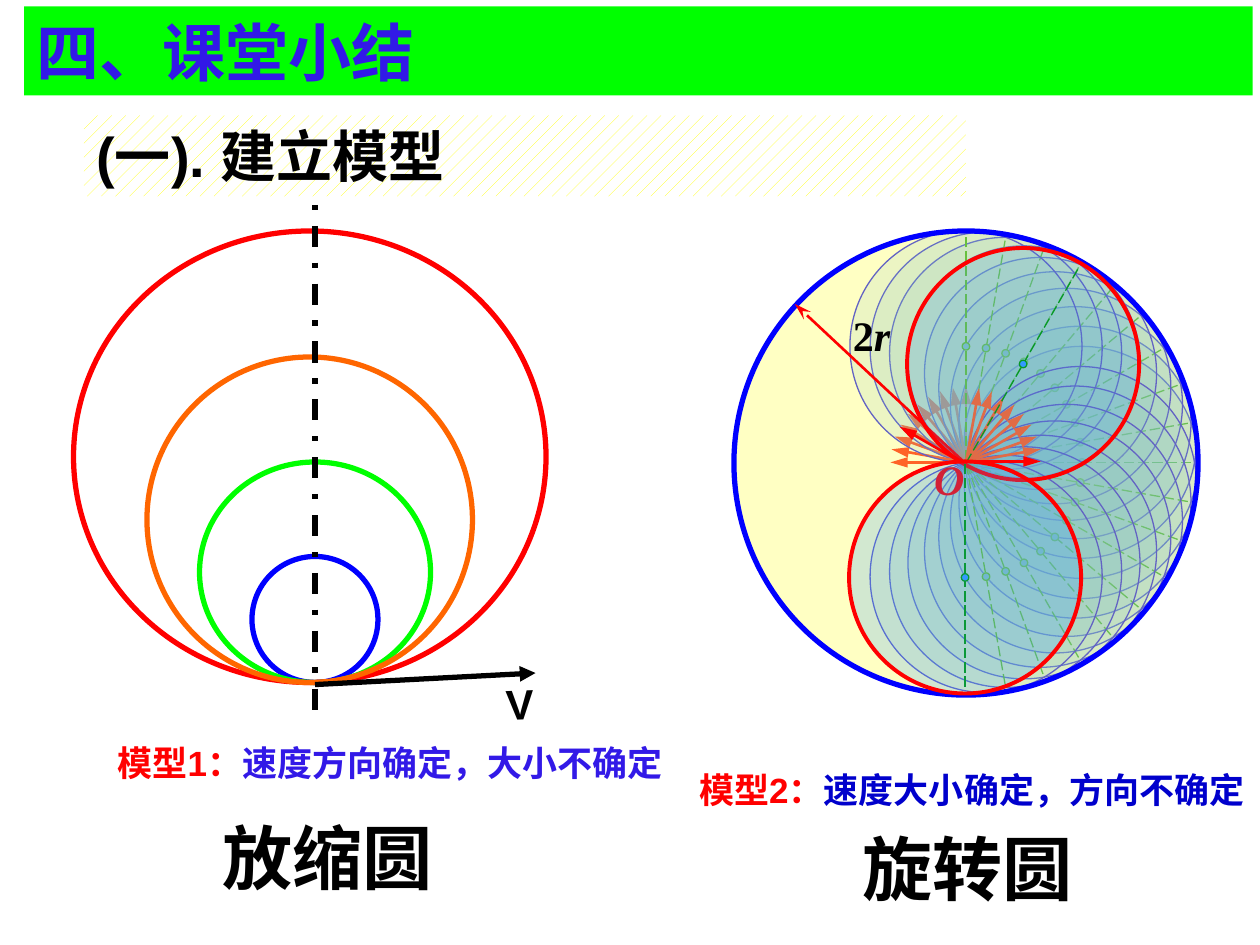
from itertools import chain
from math import cos, radians, sin

from lxml import etree
from pptx import Presentation
from pptx import util as u
from pptx.dml.color import RGBColor
from pptx.enum import dml, shapes, text
from pptx.oxml.ns import qn

BLACK = RGBColor(0x00, 0x00, 0x00)
WHITE = RGBColor(0xFF, 0xFF, 0xFF)
RED = RGBColor(0xFF, 0x00, 0x00)
BLUE = RGBColor(0x00, 0x00, 0xFF)
NAVY = RGBColor(0x00, 0x00, 0xCC)
INDIGO = RGBColor(0x32, 0x19, 0xE7)
LIME = RGBColor(0x00, 0xFF, 0x00)
GREEN = RGBColor(0x00, 0x99, 0x00)
ORANGE = RGBColor(0xFF, 0x66, 0x00)
SKY = RGBColor(0x33, 0x99, 0xFF)
CREAM = RGBColor(0xFF, 0xFF, 0x66)
YELLOW = RGBColor(0xFF, 0xFF, 0x00)

WIDE, HIGH = u.Inches(10), u.Inches(7.5)
COLS, ROWS = 120, 90  # square grid cells, twelve to the inch
HUB = (92, 44.04)  # point O, which every turned circle passes through
RADIUS = 11.05


def grid(*nums):
    """Turn column, row, column, row ... into slide lengths."""
    return [int(n * (HIGH / ROWS if i % 2 else WIDE / COLS))
            for i, n in enumerate(nums)]


def polar(hub, dist, angle):
    """Point at a distance and clockwise angle from the hub."""
    turn = radians(angle)
    return hub[0] + dist * cos(turn), hub[1] + dist * sin(turn)


def write(frame, *runs, size, font="Arial", wrap=True, bold=True,
          anchor=text.MSO_ANCHOR.TOP):
    """Fill a text frame with runs of (words, colour[, italic])."""
    frame.auto_size = text.MSO_AUTO_SIZE.NONE
    frame.word_wrap = wrap
    frame.vertical_anchor = anchor
    para = frame.paragraphs[0]
    para.alignment = text.PP_ALIGN.LEFT
    for words, color, *slant in runs:
        run = para.add_run()
        run.text = words
        run.font.name = font
        run.font.size = u.Pt(size)
        run.font.bold = bold
        run.font.italic = bool(slant and slant[0])
        run.font.color.rgb = color


def label(slide, box, *runs, turn=0, **style):
    shape = slide.shapes.add_textbox(*grid(*box))
    shape.rotation = turn
    write(shape.text_frame, *runs, **style)


def oval(slide, box, color, width, fill=None, alpha=None):
    shape = slide.shapes.add_shape(shapes.MSO_SHAPE.OVAL, *grid(*box))
    shape.shadow.inherit = False
    shape.line.color.rgb = color
    shape.line.width = u.Pt(width)
    if fill is None:
        shape.fill.background()
        return
    shape.fill.solid()
    shape.fill.fore_color.rgb = fill
    if alpha:
        tone = shape.fill._xPr.find(".//" + qn("a:srgbClr"))
        etree.SubElement(tone, qn("a:alpha"), val=str(alpha * 1000))


def disc(slide, mid, radius, *style, **fill):
    """Draw a circle from its centre and radius."""
    box = (mid[0] - radius, mid[1] - radius, 2 * radius, 2 * radius)
    oval(slide, box, *style, **fill)


def line(slide, start, end, color, width, dash=None, head=None, reach="med"):
    """Draw a straight line; reach is the length of its arrowhead."""
    link = slide.shapes.add_connector(
        shapes.MSO_CONNECTOR.STRAIGHT, *grid(*start, *end))
    link.line.color.rgb = color
    link.line.width = u.Pt(width)
    if dash:
        link.line.dash_style = dash
    if head:
        etree.SubElement(link.line._get_or_add_ln(), qn("a:tailEnd"),
                         type=head, len=reach)
    etree.SubElement(link._element.spPr, qn("a:effectLst"))


def orbit(slide, angle, hub=HUB, color=BLUE, width=0.75, alpha=15):
    """One turned circle with its diameter, centre and velocity."""
    mid = polar(hub, RADIUS, angle)
    line(slide, polar(hub, 0.2, angle), polar(hub, 21.8, angle), GREEN, 0.75,
         dash=dml.MSO_LINE.LONG_DASH)
    disc(slide, mid, 0.36, GREEN, 0.75, fill=SKY)
    disc(slide, mid, RADIUS, color, width, fill=SKY, alpha=alpha)
    line(slide, hub, polar(hub, 7.2, angle - 90), RED, 1.5,
         head="triangle", reach="lg")


def scaled(slide):
    """Left model: circles of growing size that touch at one point."""
    rings = [(24, 53, 12, 12, BLUE), (19, 44, 22, 21, LIME),
             (7, 22, 45, 43, RED), (14, 34, 31, 31, ORANGE)]
    for *box, color in rings:
        oval(slide, box, color, 3)
    line(slide, (30, 16), (30, 68), BLACK, 3, dash=dml.MSO_LINE.DASH_DOT)
    label(slide, (47, 64, 5, 6), ("V", BLACK), size=24, wrap=False, turn=357.9)
    line(slide, (30, 65.2), (51, 64.1), BLACK, 3, head="triangle")


def turned(slide):
    """Right model: equal circles turned about the hub."""
    serif = {"size": 24, "font": "Times New Roman", "wrap": False}
    for angle in chain(range(0, -91, -10), range(10, 81, 10)):
        orbit(slide, angle)
    disc(slide, (92, 44.1), 2 * RADIUS, BLUE, 3, fill=CREAM, alpha=39)
    label(slide, (87.8, 42.6, 5.3, 6), ("O", RED, True), **serif)
    line(slide, (91.8, 44), (75.7, 28.95), RED, 1.5, head="stealth", reach="lg")
    label(slide, (80.05, 28.9, 6, 6), ("2", BLACK), ("r", BLACK, True), **serif)
    for angle, row, alpha in [(-60, 44.24, 15), (90, 43.95, 22)]:
        orbit(slide, angle, (91.92, row), RED, 2.25, alpha)


def title(slide):
    shape = slide.shapes.title
    shape.left, shape.top, shape.width, shape.height = grid(2.3, 0.6, 117, 8.5)
    shape.fill.solid()
    shape.fill.fore_color.rgb = LIME
    write(shape.text_frame, ("四、课堂小结", INDIGO), size=36,
          anchor=text.MSO_ANCHOR.MIDDLE)


def heading(slide):
    shape = slide.shapes.add_shape(
        shapes.MSO_SHAPE.RECTANGLE, *grid(8, 11, 84, 7.7))
    shape.shadow.inherit = False
    shape.line.fill.background()
    shape.fill.patterned()
    shape.fill.pattern = dml.MSO_PATTERN.PERCENT_10
    shape.fill.fore_color.rgb = YELLOW
    shape.fill.back_color.rgb = WHITE
    write(shape.text_frame, ("(一). 建立模型", BLACK), size=32)


def main():
    deck = Presentation()
    deck.slide_width, deck.slide_height = WIDE, HIGH
    slide = deck.slides.add_slide(deck.slide_layouts[5])
    title(slide)
    scaled(slide)
    turned(slide)
    heading(slide)
    label(slide, (10, 70, 54.6, 5.2), ("模型1：", RED),
          ("速度方向确定，大小不确定", INDIGO), size=20)
    label(slide, (65.4, 72.6, 54.6, 5.2), ("模型2：", RED),
          ("速度大小确定，方向不确定", NAVY), size=20)
    label(slide, (20, 77, 22.4, 9.2), ("放缩圆", BLACK), size=40, wrap=False)
    label(slide, (81, 78, 23, 9.2), ("旋转圆", BLACK), size=40)
    deck.save("out.pptx")


if __name__ == "__main__":
    main()
